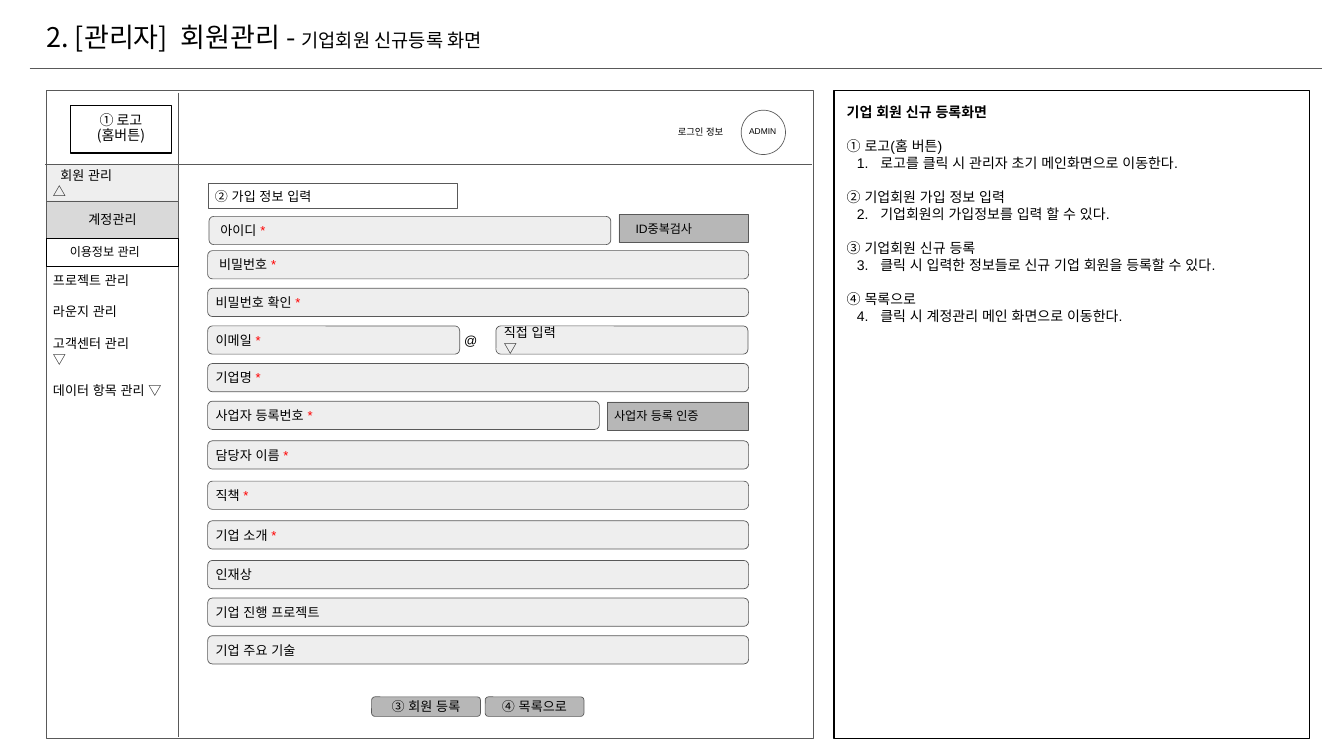
from dataclasses import dataclass

import pptx
import pptx.dml.color
import pptx.enum.shapes
import pptx.enum.text
import pptx.oxml.ns
import pptx.util
from lxml import etree

Inches = pptx.util.Inches
Pt = pptx.util.Pt
qn = pptx.oxml.ns.qn
Shapes = pptx.enum.shapes.MSO_SHAPE
LEFT = pptx.enum.text.PP_ALIGN.LEFT
CENTER = pptx.enum.text.PP_ALIGN.CENTER
TOP = pptx.enum.text.MSO_ANCHOR.TOP
MIDDLE = pptx.enum.text.MSO_ANCHOR.MIDDLE


@dataclass(frozen=True)
class Theme:
    body_font: str = "Arial"
    title_font: str = "Noto Sans CJK KR"
    black: str = "000000"
    red: str = "FF0000"
    white: str = "FFFFFF"
    outline: str = "595959"
    field: str = "EEEEEE"
    selected: str = "D9D9D9"
    button: str = "B7B7B7"
    title: int = 29
    subtitle: int = 20
    note: int = 15
    label: int = 14
    small: int = 13
    login: int = 10
    admin: int = 9


THEME = Theme()


def rgb(value):
    return pptx.dml.color.RGBColor.from_string(value)


def add_run(paragraph, text, size, font, color, bold):
    run = paragraph.add_run()
    run.text = text
    run.font.size = Pt(size)
    run.font.bold = bold
    run.font.color.rgb = rgb(color)
    run.font.name = font
    latin = run.font._element.find(qn("a:latin"))
    latin.addnext(latin.makeelement(qn("a:ea"), {"typeface": font}))


def write(frame, text, *, size=THEME.label, font=THEME.body_font, color=THEME.black,
          bold=False, align=LEFT, before=0, spacing=1.0, indent=0, margin=0,
          number=None, suffix=None):
    """Write one paragraph; a newline breaks the line, suffix is (text, format)."""
    first = frame.paragraphs[0]
    paragraph = frame.add_paragraph() if first.runs else first
    paragraph.space_before = Pt(before)
    paragraph.line_spacing = spacing
    paragraph.alignment = align
    properties = paragraph._p.get_or_add_pPr()
    properties.set("marL", str(Inches(margin)))
    properties.set("indent", str(Inches(indent)))
    if number:
        etree.SubElement(properties, qn("a:buFont"), typeface=font)
        etree.SubElement(properties, qn("a:buAutoNum"),
                         type="arabicPeriod", startAt=str(number))
    style = dict(size=size, font=font, color=color, bold=bold)
    for position, line in enumerate(text.split("\n")):
        if position:
            paragraph.add_line_break()
        add_run(paragraph, line, **style)
    if suffix:
        add_run(paragraph, suffix[0], **{**style, **suffix[1]})


def set_frame(shape, anchor, inset):
    frame = shape.text_frame
    frame.word_wrap = True
    frame.vertical_anchor = anchor
    frame.margin_left = frame.margin_right = Inches(inset)
    frame.margin_top = frame.margin_bottom = Inches(inset)
    return frame


def add_box(slide, left, top, width, height, *, kind=Shapes.RECTANGLE, fill=None,
            line=THEME.outline, weight=0.75, anchor=MIDDLE, inset=0.1):
    shape = slide.shapes.add_shape(
        kind, Inches(left), Inches(top), Inches(width), Inches(height))
    shape.shadow.inherit = False
    if fill:
        shape.fill.solid()
        shape.fill.fore_color.rgb = rgb(fill)
    else:
        shape.fill.background()
    shape.line.color.rgb = rgb(line)
    shape.line.width = Pt(weight)
    return set_frame(shape, anchor, inset)


def add_text(slide, left, top, width, height, *, anchor=TOP, inset=0.1):
    shape = slide.shapes.add_textbox(
        Inches(left), Inches(top), Inches(width), Inches(height))
    return set_frame(shape, anchor, inset)


def add_rule(slide, left, top, right, bottom):
    connector = slide.shapes.add_connector(
        pptx.enum.shapes.MSO_CONNECTOR.STRAIGHT,
        Inches(left), Inches(top), Inches(right), Inches(bottom))
    connector.line.color.rgb = rgb(THEME.outline)
    connector.line.width = Pt(0.75)
    etree.SubElement(connector._element.spPr, qn("a:effectLst"))


def add_field(slide, label, top, *, left=3.09, width=8.05, required=False, indent=0):
    frame = add_box(slide, left, top, width, 0.42,
                    kind=Shapes.ROUNDED_RECTANGLE, fill=THEME.field)
    if required:
        write(frame, label + " ", indent=indent, suffix=("*", {"color": THEME.red}))
    else:
        write(frame, label, indent=indent)


def add_title(slide):
    frame = add_text(slide, 0, 0, 20, 1.09, anchor=MIDDLE, inset=0.19)
    write(frame, "2. [관리자]  회원관리 - ", size=THEME.title, font=THEME.title_font,
          margin=0.5, suffix=("기업회원 신규등록 화면", {"size": THEME.subtitle}))
    add_rule(slide, 0.44, 1.01, 19.68, 1.01)


def add_description(slide):
    frame = add_box(slide, 12.41, 1.35, 7.08, 9.64, line=THEME.black,
                    weight=1.5, anchor=TOP, inset=0.19)
    style = dict(size=THEME.note, spacing=1.03)
    write(frame, "기업 회원 신규 등록화면", bold=True, **style)
    notes = [
        ("① 로고(홈 버튼)", "로고를 클릭 시 관리자 초기 메인화면으로 이동한다."),
        ("② 기업회원 가입 정보 입력", "기업회원의 가입정보를 입력 할 수 있다."),
        ("③ 기업회원 신규 등록", "클릭 시 입력한 정보들로 신규 기업 회원을 등록할 수 있다."),
        ("④ 목록으로", "클릭 시 계정관리 메인 화면으로 이동한다."),
    ]
    for number, (heading, detail) in enumerate(notes, 1):
        write(frame, heading, before=17.5, **style)
        write(frame, detail, margin=0.5, indent=-0.35, number=number, **style)


def add_header(slide):
    add_box(slide, 0.69, 1.35, 11.41, 9.64)
    add_rule(slide, 2.65, 1.38, 2.65, 10.97)
    add_rule(slide, 0.67, 2.45, 12.09, 2.45)
    logo = add_box(slide, 1.05, 1.57, 1.5, 0.71, fill=THEME.white,
                   line=THEME.black, weight=1.5, anchor=TOP)
    for line in ("① 로고", "(홈버튼)"):
        write(logo, line, size=THEME.note, font=THEME.title_font,
              align=CENTER, spacing=0.95)
    add_box(slide, 11.03, 1.64, 0.66, 0.66, kind=Shapes.OVAL)
    write(add_text(slide, 9.99, 1.8, 1.22, 0.37), "로그인 정보", size=THEME.login)
    write(add_text(slide, 11.05, 1.8, 1.13, 0.35), "ADMIN", size=THEME.admin)


def add_menu(slide):
    left, width = 0.69, 1.97
    menu = add_text(slide, left, 3.95, width, 2.32)
    items = ["프로젝트 관리", "라운지 관리", "고객센터 관리\n▽", "데이터 항목 관리 ▽"]
    for position, item in enumerate(items):
        write(menu, item, before=17 if position else 0)
    write(add_box(slide, left, 2.45, width, 0.56, fill=THEME.field),
          "회원 관리\n△", indent=0.11)
    write(add_box(slide, left, 2.99, width, 0.56, fill=THEME.selected),
          "계정관리", align=CENTER)
    write(add_box(slide, left, 3.54, width, 0.42, line=THEME.black, anchor=TOP),
          "이용정보 관리", size=THEME.small, indent=0.25)


def add_form(slide):
    write(add_box(slide, 3.1, 2.73, 3.71, 0.37), "② 가입 정보 입력")
    add_field(slide, "아이디", 3.22, left=3.11, width=5.98, required=True, indent=0.05)

    # Stacked fields: label, required, distance to the next field, exceptions
    fields = [
        ("비밀번호", True, 0.56, {"indent": 0.05}),
        ("비밀번호 확인", True, 0.56, {}),
        ("이메일", True, 0.56, {"width": 3.75}),
        ("기업명", True, 0.56, {}),
        ("사업자 등록번호", True, 0.59, {"width": 5.83}),
        ("담당자 이름", True, 0.6, {}),
        ("직책", True, 0.59, {}),
        ("기업 소개", True, 0.59, {}),
        ("인재상", False, 0.56, {}),
        ("기업 진행 프로젝트", False, 0.56, {}),
        ("기업 주요 기술", False, 0.56, {}),
    ]
    top = 3.73
    for label, required, pitch, options in fields:
        add_field(slide, label, top, required=required, **options)
        top += pitch

    # E-mail domain
    write(add_text(slide, 6.81, 4.84, 0.46, 0.44), "@")
    add_field(slide, "직접 입력\n▽", 4.85, left=7.38, width=3.75)

    # Check buttons beside fields
    write(add_box(slide, 9.21, 3.19, 1.92, 0.42, fill=THEME.button),
          "ID중복검사", size=THEME.small, indent=0.15)
    write(add_box(slide, 9.04, 5.98, 2.09, 0.42, fill=THEME.button),
          "사업자 등록 인증", size=THEME.small)

    # Bottom buttons
    for label, left, width in (("③ 회원 등록", 5.53, 1.62), ("④ 목록으로", 7.22, 1.47)):
        write(add_box(slide, left, 10.37, width, 0.29, fill=THEME.button,
                      kind=Shapes.ROUNDED_RECTANGLE), label, align=CENTER)


def main():
    presentation = pptx.Presentation()
    presentation.slide_width = Inches(20)
    presentation.slide_height = Inches(11.25)
    slide = presentation.slides.add_slide(presentation.slide_layouts[6])
    add_title(slide)
    add_description(slide)
    add_header(slide)
    add_menu(slide)
    add_form(slide)
    presentation.save("out.pptx")


if __name__ == "__main__":
    main()
